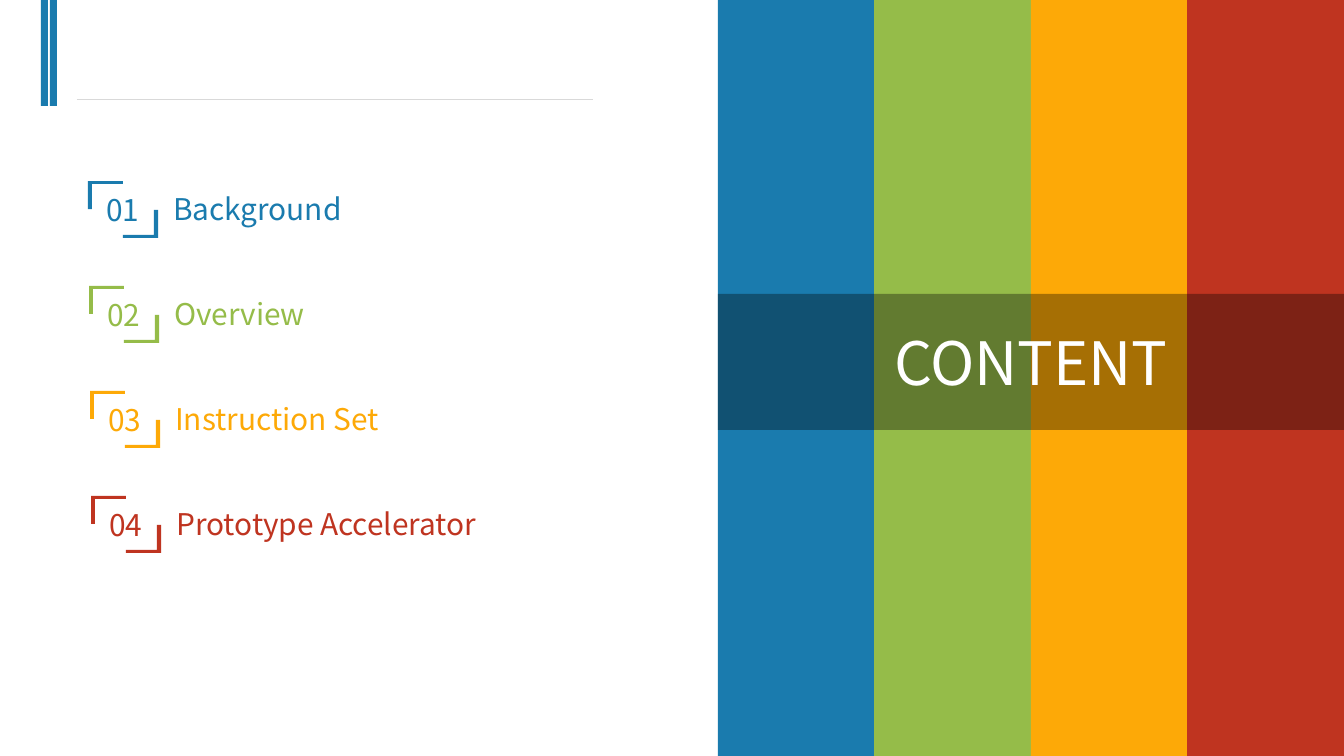
from dataclasses import dataclass

from lxml.etree import SubElement
from pptx import Presentation
from pptx.dml.color import RGBColor
from pptx.enum.shapes import MSO_CONNECTOR, MSO_SHAPE
from pptx.enum.text import MSO_ANCHOR, MSO_AUTO_SIZE, PP_ALIGN
from pptx.oxml.ns import qn
from pptx.shapes.autoshape import Shape
from pptx.shapes.shapetree import SlideShapes
from pptx.text.text import TextFrame
from pptx.util import Emu, Inches, Pt

SLIDE_WIDTH, SLIDE_HEIGHT = 1344, 756
SCALE = Inches(10) / SLIDE_WIDTH
PANEL_LEFT = 718
BADGE_WIDTH, BADGE_HEIGHT = 70, 57
BRACKET = [(0, 0), (35, 0), (35, 3), (4, 3), (4, 28), (0, 28)]


@dataclass(frozen=True)
class Theme:
    font: str = "Noto Sans CJK SC"
    blue: str = "1A7BAE"
    green: str = "95BC49"
    amber: str = "FDA907"
    red: str = "BF3420"
    rule: str = "D9D9D9"
    shade: str = "000000"
    heading: str = "FFFFFF"
    item_size: int = 16
    heading_size: int = 32


@dataclass(frozen=True)
class Chapter:
    title: str
    color: str


THEME = Theme()
CHAPTERS = [
    Chapter("Background", THEME.blue),
    Chapter("Overview", THEME.green),
    Chapter("Instruction Set", THEME.amber),
    Chapter("Prototype Accelerator", THEME.red),
]


def px(length: float) -> Emu:
    return Emu(round(length * SCALE))


def paint(shape: Shape, color: str) -> None:
    shape.shadow.inherit = False
    shape.fill.solid()
    shape.fill.fore_color.rgb = RGBColor.from_string(color)
    shape.line.fill.background()


def write(frame: TextFrame, text: str, size: int, color: str,
          align: PP_ALIGN, anchor: MSO_ANCHOR) -> None:
    frame.word_wrap = True
    frame.vertical_anchor = anchor
    paragraph = frame.paragraphs[0]
    paragraph.text = text
    paragraph.alignment = align
    paragraph.font.name = THEME.font
    paragraph.font.size = Pt(size)
    paragraph.font.color.rgb = RGBColor.from_string(color)


def draw_bar(shapes: SlideShapes, left: int, top: int, width: int, height: int,
             color: str) -> Shape:
    bar = shapes.add_shape(MSO_SHAPE.RECTANGLE, px(left), px(top), px(width), px(height))
    paint(bar, color)
    return bar


def draw_rule(shapes: SlideShapes, left: int, right: int, y: int) -> None:
    rule = shapes.add_connector(MSO_CONNECTOR.STRAIGHT, px(left), px(y), px(right), px(y))
    rule.line.color.rgb = RGBColor.from_string(THEME.rule)
    rule.line.width = Pt(0.5)
    SubElement(rule._element.spPr, qn("a:effectLst"))


def draw_badge(shapes: SlideShapes, left: int, top: int, number: int, color: str) -> None:
    opposite = [(BADGE_WIDTH - x, BADGE_HEIGHT - y) for x, y in BRACKET]
    outline = shapes.build_freeform(*BRACKET[0], scale=SCALE)
    outline.add_line_segments(BRACKET[1:], close=True)
    outline.move_to(*opposite[0])
    outline.add_line_segments(opposite[1:], close=True)
    badge = outline.convert_to_shape(px(left), px(top))
    paint(badge, color)
    write(badge.text_frame, f"{number:02}", THEME.item_size, color,
          PP_ALIGN.CENTER, MSO_ANCHOR.MIDDLE)


def draw_chapter(shapes: SlideShapes, index: int, chapter: Chapter) -> None:
    left, top = 88 + index, 181 + 105 * index
    title = shapes.add_textbox(px(left + 72), px(top + 3), px(535), px(50))
    write(title.text_frame, chapter.title, THEME.item_size, chapter.color,
          PP_ALIGN.LEFT, MSO_ANCHOR.TOP)
    title.text_frame.auto_size = MSO_AUTO_SIZE.SHAPE_TO_FIT_TEXT
    draw_badge(shapes, left, top, index + 1, chapter.color)


def draw_panel(shapes: SlideShapes) -> None:
    width = SLIDE_WIDTH - PANEL_LEFT
    edges = [PANEL_LEFT + width * i // len(CHAPTERS) for i in range(len(CHAPTERS) + 1)]
    for chapter, left, right in zip(CHAPTERS, edges, edges[1:]):
        draw_bar(shapes, left, 0, right - left, SLIDE_HEIGHT, chapter.color)

    heading = draw_bar(shapes, PANEL_LEFT, 294, width, 136, THEME.shade)
    shade = heading._element.spPr.find(qn("a:solidFill"))[0]
    SubElement(shade, qn("a:alpha"), val="34000")
    write(heading.text_frame, "CONTENT", THEME.heading_size, THEME.heading,
          PP_ALIGN.CENTER, MSO_ANCHOR.MIDDLE)


def main() -> None:
    presentation = Presentation()
    presentation.slide_width = px(SLIDE_WIDTH)
    presentation.slide_height = px(SLIDE_HEIGHT)
    shapes = presentation.slides.add_slide(presentation.slide_layouts[6]).shapes

    for left in (41, 50):
        draw_bar(shapes, left, 0, 7, 106, THEME.blue)
    draw_rule(shapes, 77, 593, 100)
    for index, chapter in enumerate(CHAPTERS):
        draw_chapter(shapes, index, chapter)
    draw_panel(shapes)
    presentation.save("out.pptx")


if __name__ == "__main__":
    main()
